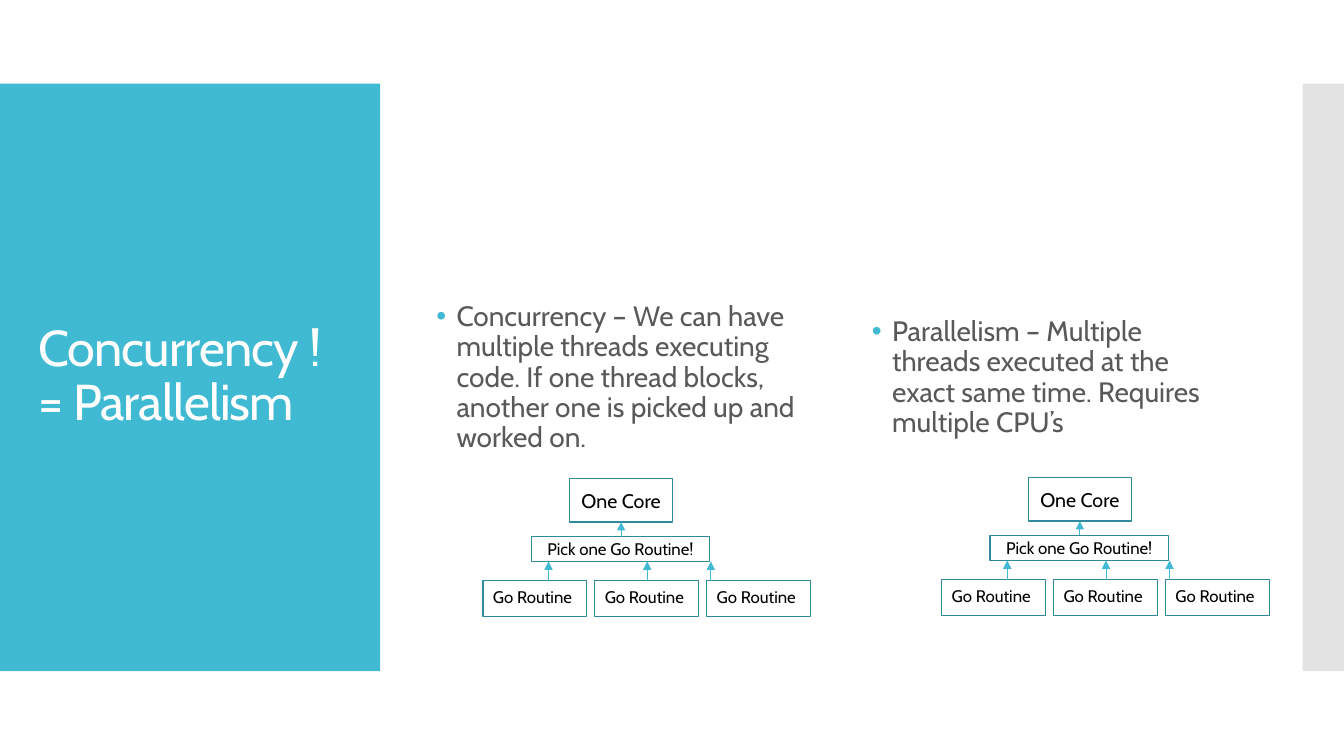
from lxml import etree
from pptx import Presentation
from pptx.dml.color import RGBColor
from pptx.enum import shapes, text
from pptx.oxml.ns import qn
from pptx.util import Inches, Pt

TITLE = "Concurrency != Parallelism"
COLUMNS = [  # text left, text, diagram left, diagram top
    (4.23, "Concurrency – We can have multiple threads executing code. "
           "If one thread blocks, another one is picked up and worked on.", 4.79, 4.75),
    (8.55, "Parallelism – Multiple threads executed at the exact same time. "
           "Requires multiple CPU’s", 9.34, 4.74),
]
CORE, PICKER, ROUTINE = "One Core", "Pick one Go Routine!", "Go Routine"
ROUTINE_COUNT = 3
ROUTINE_STEP = 1.11
ARROW_OFFSETS = (0.65, 1.63, 2.26)

THEME = {
    "font": "Cabin",
    "accent": "40BAD2", "outline": "2F8A9B", "side": "C8C8C8",
    "white": "FFFFFF", "body": "595959", "black": "000000",
    "title_size": 36, "body_size": 20, "core_size": 14, "label_size": 12,
}


def color(name):
    return RGBColor.from_string(THEME[name])


def style_text(frame, words, size, ink, align=text.PP_ALIGN.LEFT):
    frame.word_wrap = True
    frame.text = words
    para = frame.paragraphs[0]
    para.alignment = align
    font = para.runs[0].font
    font.name = THEME["font"]
    font.size = Pt(THEME[size])
    font.color.rgb = color(ink)
    return para


def add_panel(page, left, width, fill):
    panel = page.shapes.add_shape(shapes.MSO_SHAPE.RECTANGLE, Inches(left), Inches(0.83),
                                  Inches(width), Inches(5.83))
    panel.shadow.inherit = False
    panel.fill.solid()
    panel.fill.fore_color.rgb = color(fill)
    panel.line.fill.background()
    return panel


def add_copy(page, left, top, width, height, words, size, ink):
    """Add a vertically centred text box with tight line spacing."""
    box = page.shapes.add_textbox(Inches(left), Inches(top), Inches(width), Inches(height))
    box.text_frame.vertical_anchor = text.MSO_ANCHOR.MIDDLE
    para = style_text(box.text_frame, words, size, ink)
    para.line_spacing = 0.9
    return para


def add_bullet(para):
    para.space_before = Pt(12)
    props = para._p.get_or_add_pPr()
    props.set("marL", str(Inches(0.2)))
    props.set("indent", str(-Inches(0.2)))
    bullet_color = etree.SubElement(props, qn("a:buClr"))
    etree.SubElement(bullet_color, qn("a:srgbClr"), val=THEME["accent"])
    etree.SubElement(props, qn("a:buFont"), typeface="Arial")
    etree.SubElement(props, qn("a:buChar"), char="•")


def add_box(page, left, top, width, height, words, size):
    box = page.shapes.add_shape(shapes.MSO_SHAPE.RECTANGLE, Inches(left), Inches(top),
                                Inches(width), Inches(height))
    box.shadow.inherit = False
    box.fill.solid()
    box.fill.fore_color.rgb = color("white")
    box.line.color.rgb = color("outline")
    box.line.width = Pt(0.85)
    frame = box.text_frame
    frame.margin_left = frame.margin_right = frame.margin_top = frame.margin_bottom = 0
    style_text(frame, words, size, "black", text.PP_ALIGN.CENTER)
    return box


def add_up_arrow(page, x, bottom, top):
    arrow = page.shapes.add_connector(shapes.MSO_CONNECTOR.STRAIGHT, Inches(x), Inches(bottom),
                                      Inches(x), Inches(top))
    arrow.line.color.rgb = color("accent")
    arrow.line.width = Pt(0.75)
    etree.SubElement(arrow.line._get_or_add_ln(), qn("a:tailEnd"), type="triangle")
    etree.SubElement(arrow._element.spPr, qn("a:effectLst"))


def add_diagram(page, left, top):
    picker_top, routine_top = top + 0.57, top + 1.01
    add_box(page, left + 0.86, top, 1.02, 0.43, CORE, "core_size")
    add_box(page, left + 0.48, picker_top, 1.77, 0.25, PICKER, "label_size")
    add_up_arrow(page, left + 1.37, picker_top, top + 0.43)
    for index in range(ROUTINE_COUNT):
        box = add_box(page, left + index * ROUTINE_STEP, routine_top, 1.03, 0.36,
                      ROUTINE, "label_size")
        frame = box.text_frame
        frame.vertical_anchor = text.MSO_ANCHOR.TOP
        frame.margin_left, frame.margin_top = Inches(0.1), Inches(0.06)
        frame.paragraphs[0].alignment = text.PP_ALIGN.LEFT
    for offset in ARROW_OFFSETS:
        add_up_arrow(page, left + offset, routine_top, picker_top + 0.25)


def main():
    deck = Presentation()
    deck.slide_width, deck.slide_height = Inches(13.33), Inches(7.5)
    page = deck.slides.add_slide(deck.slide_layouts[6])
    add_panel(page, 0, 3.77, "accent")
    side = add_panel(page, 12.92, 0.41, "side")
    side_color = side._element.spPr.find(qn("a:solidFill")).find(qn("a:srgbClr"))
    etree.SubElement(side_color, qn("a:alpha"), val="50000")

    title = add_copy(page, 0.28, 1.23, 3.22, 5.03, TITLE, "title_size", "white")
    title.runs[0].font._element.set("spc", "-60")
    for text_left, words, diagram_left, diagram_top in COLUMNS:
        add_bullet(add_copy(page, text_left, 0.95, 3.8, 5.6, words, "body_size", "body"))
        add_diagram(page, diagram_left, diagram_top)
    deck.save("out.pptx")


if __name__ == "__main__":
    main()
